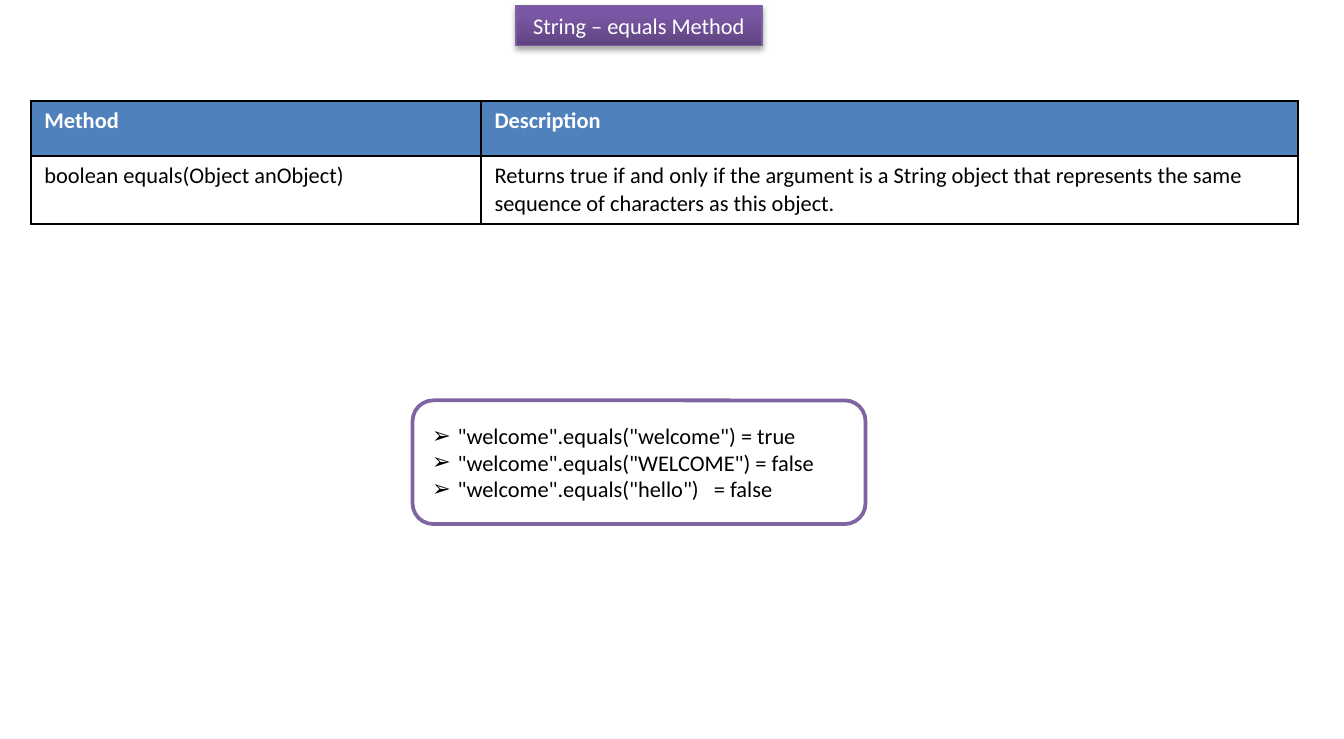
from copy import deepcopy
from dataclasses import dataclass

from lxml import etree
from pptx import Presentation
from pptx.dml.color import RGBColor as RGB
from pptx.enum.text import MSO_ANCHOR as ANCHOR, MSO_AUTO_SIZE as AUTO, PP_ALIGN as ALIGN
from pptx.oxml import parse_xml
from pptx.oxml.ns import nsdecls, qn
from pptx.util import Inches, Pt


@dataclass(frozen=True)
class Theme:
    font: str = "Calibri"
    size: float = 12
    white: str = "FFFFFF"
    black: str = "000000"
    header: str = "4F81BD"
    purple: str = "8064A2"
    title_line: str = "7D60A0"
    title_stops: tuple = ((0, "5F4480"), (0.8, "7B58A6"), (1, "7C57A8"))


THEME = Theme()
ROWS = [
    ("Method", "Description"),
    ("boolean equals(Object anObject)",
     "Returns true if and only if the argument is a String object that "
     "represents the same sequence of characters as this object."),
]
EXAMPLES = [
    '"welcome".equals("welcome") = true',
    '"welcome".equals("WELCOME") = false',
    '"welcome".equals("hello")   = false',
]


def place(sp, box):
    sp.left, sp.top, sp.width, sp.height = (Inches(v) for v in box)


def style(p, color, bold=False):
    for r in p.runs:
        r.font.name, r.font.size, r.font.bold = THEME.font, Pt(THEME.size), bold
        r.font.color.rgb = RGB.from_string(color)


def set_geometry(sp, preset):
    """Give a placeholder its own preset outline."""
    sp._element.spPr.find(qn("a:xfrm")).addnext(parse_xml(
        f'<a:prstGeom {nsdecls("a")} prst="{preset}"><a:avLst/></a:prstGeom>'))


def set_line(sp, color, width):
    sp.line.color.rgb = RGB.from_string(color)
    sp.line.width = Pt(width)


def set_text(sp, text, anchor):
    tf = sp.text_frame
    tf.text = text
    tf.word_wrap = True
    tf.auto_size = AUTO.NONE
    tf.vertical_anchor = anchor
    return tf


def add_title(slide, box):
    sp = slide.shapes.title
    place(sp, box)
    set_geometry(sp, "rect")

    # Three-stop gradient, running from bottom to top
    sp.fill.gradient()
    sp.fill.gradient_angle = 90
    last = sp._element.spPr.find(".//" + qn("a:gsLst"))[-1]
    last.addprevious(deepcopy(last))
    for stop, (position, color) in zip(sp.fill.gradient_stops, THEME.title_stops):
        stop.position = position
        stop.color.rgb = RGB.from_string(color)
    set_line(sp, THEME.title_line, 0.75)

    # Soft shadow below
    sp._element.spPr.append(parse_xml(
        f'<a:effectLst {nsdecls("a")}><a:outerShdw blurRad="{Pt(3.1)}" dist="{Pt(1.8)}" '
        f'dir="5400000" rotWithShape="0"><a:srgbClr val="{THEME.black}">'
        '<a:alpha val="35000"/></a:srgbClr></a:outerShdw></a:effectLst>'))

    p = set_text(sp, "String – equals Method", ANCHOR.TOP).paragraphs[0]
    p.alignment = ALIGN.CENTER
    style(p, THEME.white)


def add_borders(cell):
    tc_pr = cell._tc.get_or_add_tcPr()
    for side in ("lnL", "lnR", "lnT", "lnB"):
        ln = etree.SubElement(tc_pr, qn(f"a:{side}"), w=str(Pt(1)))
        fill = etree.SubElement(ln, qn("a:solidFill"))
        etree.SubElement(fill, qn("a:srgbClr"), val=THEME.black)


def add_method_table(slide, box, widths, heights):
    frame = slide.shapes.add_table(len(ROWS), len(widths), *(Inches(v) for v in box))
    table = frame.table
    for column, width in zip(table.columns, widths):
        column.width = Inches(width)
    for row, height, texts in zip(table.rows, heights, ROWS):
        row.height = Inches(height)
        is_header = texts is ROWS[0]
        for cell, text in zip(row.cells, texts):
            add_borders(cell)
            cell.fill.solid()
            cell.fill.fore_color.rgb = RGB.from_string(THEME.header if is_header else THEME.white)
            cell.text_frame.text = text
            style(cell.text_frame.paragraphs[0],
                  THEME.white if is_header else THEME.black, is_header)


def add_examples(slide, box):
    sp = slide.placeholders[1]
    place(sp, box)
    set_geometry(sp, "roundRect")
    sp.fill.solid()
    sp.fill.fore_color.rgb = RGB.from_string(THEME.white)
    set_line(sp, THEME.purple, 2)

    # Arrow bullets with a hanging indent
    indent = Inches(0.19)
    for p in set_text(sp, "\n".join(EXAMPLES), ANCHOR.MIDDLE).paragraphs:
        p_pr = p._p.get_or_add_pPr()
        p_pr.set("marL", str(indent))
        p_pr.set("indent", str(-indent))
        etree.SubElement(p_pr, qn("a:buChar"), char="➢")
        p.space_before = Pt(0)
        style(p, THEME.black)


def main():
    prs = Presentation()
    prs.slide_width, prs.slide_height = Inches(10), Inches(5.5)
    slide = prs.slides.add_slide(prs.slide_layouts[1])
    add_examples(slide, (3.07, 2.98, 3.37, 0.92))
    add_title(slide, (3.84, 0.04, 1.83, 0.3))
    add_method_table(slide, (0.23, 0.75, 9.43, 0.91), (3.35, 6.08), (0.41, 0.5))
    prs.save("out.pptx")


if __name__ == "__main__":
    main()
